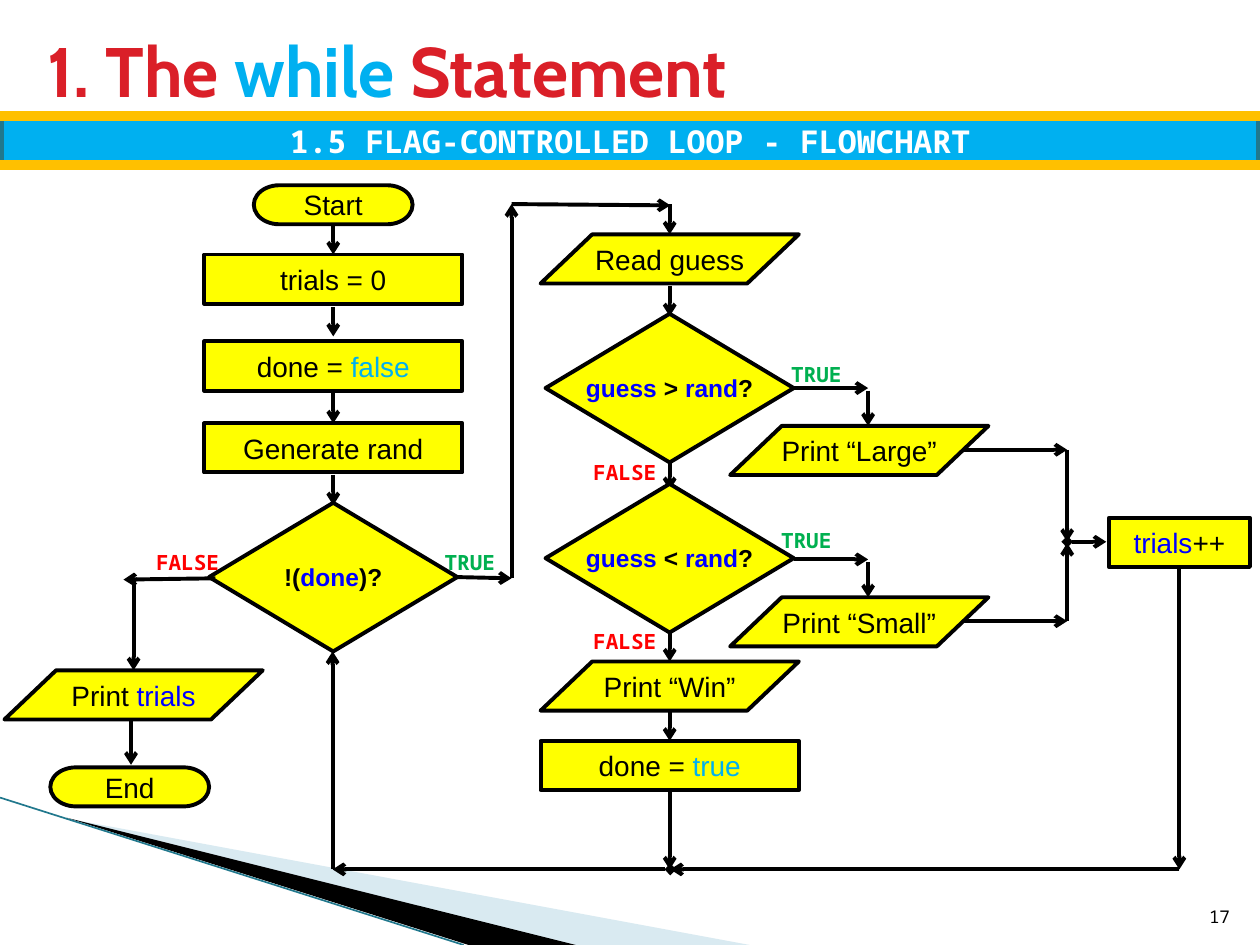
from dataclasses import dataclass

from lxml.etree import SubElement
from pptx import Presentation
from pptx.dml.color import RGBColor
from pptx.enum.shapes import MSO_CONNECTOR as Connector, MSO_SHAPE as Shape
from pptx.enum.text import MSO_ANCHOR as Anchor, PP_ALIGN as Align
from pptx.oxml.ns import qn
from pptx.util import Inches, Pt


@dataclass(frozen=True)
class Theme:
    black: str = "000000"
    white: str = "FFFFFF"
    red: str = "DA1F28"
    sky: str = "00B0F0"
    teal: str = "21788D"
    pale: str = "A0CBDC"
    gold: str = "FFC000"
    node: str = "FFFF00"
    variable: str = "0000FF"
    yes: str = "00B050"
    no: str = "FF0000"
    heading: str = "Cabin"
    mono: str = "Noto Sans Mono"
    body: str = "Arial"
    title_size: float = 40
    band_size: float = 18
    node_size: float = 16
    test_size: float = 14
    label_size: float = 12
    page_size: float = 10
    flow_line: float = 2.25


THEME = Theme()
STEP, DATA = Shape.RECTANGLE, Shape.FLOWCHART_DATA
ENDPOINT, TEST = Shape.FLOWCHART_TERMINATOR, Shape.FLOWCHART_DECISION
NODE_SIZES = {STEP: (2.05, 0.39), DATA: (2.05, 0.39), ENDPOINT: (1.26, 0.31), TEST: (1.97, 1.18)}


@dataclass(frozen=True)
class Box:
    """A region in inches; at() turns an offset within it into slide lengths."""
    left: float
    top: float
    width: float
    height: float

    def at(self, x=0, y=0):
        return Inches(self.left + x), Inches(self.top + y)

    @property
    def frame(self):
        return (*self.at(), Inches(self.width), Inches(self.height))


def rgb(colour):
    return RGBColor.from_string(colour)


def write(frame, runs, *, size, font=THEME.body, colour=THEME.black, bold=False,
          align=Align.LEFT, anchor=Anchor.TOP, wrap=True):
    """Write one paragraph; each run is a string or a (string, colour) pair."""
    frame.word_wrap = wrap
    frame.vertical_anchor = anchor
    paragraph = frame.paragraphs[0]
    paragraph.alignment = align
    for part in [runs] if isinstance(runs, str) else runs:
        words, tint = (part, colour) if isinstance(part, str) else part
        run = paragraph.add_run()
        run.text = words
        run.font.size, run.font.name, run.font.bold = Pt(size), font, bold
        run.font.color.rgb = rgb(tint)


def paint(shape, fill, outline=None, weight=0):
    shape.shadow.inherit = False
    shape.fill.solid()
    shape.fill.fore_color.rgb = rgb(fill)
    if outline:
        shape.line.color.rgb = rgb(outline)
        shape.line.width = Pt(weight)
    else:
        shape.line.fill.background()


def stroke(slide, box, start, end, *, colour=THEME.black, weight=THEME.flow_line,
           head=None, tail=None):
    line = slide.shapes.add_connector(Connector.STRAIGHT, *box.at(*start), *box.at(*end))
    line.line.color.rgb = rgb(colour)
    line.line.width = Pt(weight)
    outline = line.line._get_or_add_ln()
    for tag, kind in (("a:headEnd", head), ("a:tailEnd", tail)):
        if kind:
            SubElement(outline, qn(tag), type=kind)
    SubElement(line._element.spPr, qn("a:effectLst"))


def arrow(slide, box, start, end, head=None):
    stroke(slide, box, start, end, head=head, tail="arrow")


def node(slide, box, kind, centre, top, runs, width=None):
    """Place a flowchart symbol by its centre line and top."""
    usual, height = NODE_SIZES[kind]
    width = width or usual
    symbol = slide.shapes.add_shape(kind, *box.at(centre - width / 2, top),
                                    Inches(width), Inches(height))
    paint(symbol, THEME.node, THEME.black, THEME.flow_line)
    test = kind == TEST
    write(symbol.text_frame, runs, size=THEME.test_size if test else THEME.node_size,
          bold=test, align=Align.CENTER, anchor=Anchor.MIDDLE, wrap=False)


def label(slide, box, x, y, outcome):
    tag = slide.shapes.add_textbox(*box.at(x, y), Inches(0.79), Inches(0.3))
    write(tag.text_frame, "TRUE" if outcome else "FALSE", size=THEME.label_size,
          font=THEME.mono, colour=THEME.yes if outcome else THEME.no, bold=True)


def draw_corner(slide, box):
    wedges = (
        ([(0.55, 0.17), (5.95, 1.17), (4.56, 1.17)], THEME.pale, 40),
        ([(0.53, 0.16), (4.57, 1.17), (3.72, 1.17)], THEME.black, 100),
    )
    for points, colour, opacity in wedges:
        first, *rest = [box.at(*point) for point in points]
        builder = slide.shapes.build_freeform(*first)
        builder.add_line_segments(rest, close=True)
        wedge = builder.convert_to_shape()
        paint(wedge, colour)
        if opacity < 100:
            tint = wedge._element.spPr.find(qn("a:solidFill"))[0]
            SubElement(tint, qn("a:alpha"), val=str(opacity * 1000))
    stroke(slide, box, (0, 0), (3.68, 1.17), colour=THEME.teal, weight=0.95)


def draw_title(slide, box):
    title = slide.shapes.title
    title.left, title.top, title.width, title.height = box.frame
    write(title.text_frame, ["1. The ", ("while ", THEME.sky), "Statement"],
          size=THEME.title_size, font=THEME.heading, colour=THEME.red, bold=True,
          anchor=Anchor.MIDDLE)


def draw_band(slide, box):
    band = slide.shapes.add_shape(Shape.RECTANGLE, *box.frame)
    paint(band, THEME.sky, THEME.teal, 4.33)
    write(band.text_frame, "1.5 FLAG-CONTROLLED LOOP - FLOWCHART", size=THEME.band_size,
          font=THEME.mono, colour=THEME.white, bold=True, align=Align.CENTER,
          anchor=Anchor.MIDDLE)
    for y in (0, box.height):
        stroke(slide, box, (0, y), (box.width, y), colour=THEME.gold, weight=6)


def draw_page_number(slide, box):
    number = slide.shapes.add_textbox(*box.frame)
    write(number.text_frame, "17", size=THEME.page_size, font=THEME.mono,
          align=Align.RIGHT, anchor=Anchor.BOTTOM)


def draw_setup(slide, box):
    """Initial steps and the loop test, with both of its exits."""
    middle = box.width / 2
    for top, bottom in ((0.32, 0.55), (0.97, 1.2), (1.65, 1.89), (2.3, 2.54)):
        arrow(slide, box, (middle, top), (middle, bottom))
    node(slide, box, ENDPOINT, middle, 0, "Start")
    node(slide, box, STEP, middle, 0.55, "trials = 0")
    node(slide, box, STEP, middle, 1.24, ["done = ", ("false", THEME.sky)])
    node(slide, box, STEP, middle, 1.89, "Generate rand")
    node(slide, box, TEST, middle, 2.52, ["!(", ("done", THEME.variable), ")?"])
    arrow(slide, box, (2, 3.11), (2.44, 3.12))
    arrow(slide, box, (0.09, 3.12), (-0.64, 3.13))
    label(slide, box, 1.81, 2.84, True)
    label(slide, box, -0.48, 2.84, False)


def draw_finish(slide, box):
    arrow(slide, box, (1.02, 0), (1.02, 0.72))
    arrow(slide, box, (1, 1.11), (1, 1.47))
    node(slide, box, DATA, 1.02, 0.72, ["Print ", ("trials", THEME.variable)])
    node(slide, box, ENDPOINT, 0.99, 1.49, "End")


def draw_guessing(slide, box):
    """Main column of the loop body."""
    middle = box.width / 2
    for top, bottom in ((0, 0.24), (0.65, 0.89), (2.03, 2.27), (3.39, 3.63),
                        (4.02, 4.26), (4.65, 5.28)):
        arrow(slide, box, (middle, top), (middle, bottom))
    node(slide, box, DATA, middle, 0.24, "Read guess")
    for sign, top, label_top in ((">", 0.87, 1.98), ("<", 2.22, 3.32)):
        node(slide, box, TEST, middle, top,
             [("guess ", THEME.variable), f"{sign} ", ("rand", THEME.variable), "?"])
        label(slide, box, 0.32, label_top, False)
    node(slide, box, DATA, middle, 3.63, "Print “Win”")
    node(slide, box, STEP, middle, 4.26, ["done = ", ("true", THEME.sky)])


def draw_hint(slide, box, hint, label_at, merge):
    """Side branch from a true test to the merge point."""
    arrow(slide, box, (0, 0), (0.59, 0))
    arrow(slide, box, (0.59, 0.02), (0.59, 0.3))
    arrow(slide, box, (1.34, 0.49), (box.width, 0.49))
    arrow(slide, box, (box.width, 0.49), (box.width, merge))
    node(slide, box, DATA, 0.52, 0.3, f"Print “{hint}”")
    label(slide, box, *label_at, True)


def draw_counter(slide, box):
    arrow(slide, box, (0, 0.19), (0.31, 0.19), head="diamond")
    node(slide, box, STEP, 0.89, 0, [("trials", THEME.variable), "++"], width=1.12)


def draw_loop_paths(slide, box):
    """Entry path into the loop body and return path to its test."""
    entry, body, bottom = 1.42, 2.68, box.height
    arrow(slide, box, (entry, 2.97), (entry, 0))
    arrow(slide, box, (entry, 0), (body, 0.01))
    arrow(slide, box, (box.width, 2.88), (box.width, bottom))
    arrow(slide, box, (box.width, bottom), (body, bottom))
    arrow(slide, box, (body, bottom), (0, bottom), head="diamond")
    arrow(slide, box, (0, bottom), (0, 3.55))


def main():
    deck = Presentation()
    deck.slide_width, deck.slide_height = Inches(10), Inches(7.5)
    slide = deck.slides.add_slide(deck.slide_layouts[5])
    draw_corner(slide, Box(0, 6.33, 5.95, 1.17))
    draw_title(slide, Box(0.28, 0.13, 8.92, 0.85))
    draw_band(slide, Box(0, 0.92, 10, 0.39))
    draw_page_number(slide, Box(9.46, 7.01, 0.4, 0.4))
    draw_setup(slide, Box(1.62, 1.47, 2.05, 3.7))
    draw_finish(slide, Box(0.04, 4.6, 2.05, 1.8))
    draw_guessing(slide, Box(4.29, 1.62, 2.05, 5.28))
    draw_hint(slide, Box(6.3, 3.08, 2.17, 0.69), "Large", (-0.12, -0.26), 1.22)
    draw_hint(slide, Box(6.3, 4.44, 2.17, 0.69), "Small", (-0.2, -0.3), -0.13)
    draw_counter(slide, Box(8.47, 4.11, 1.45, 0.39))
    draw_loop_paths(slide, Box(2.64, 1.62, 6.72, 5.28))
    deck.save("out.pptx")


if __name__ == "__main__":
    main()
